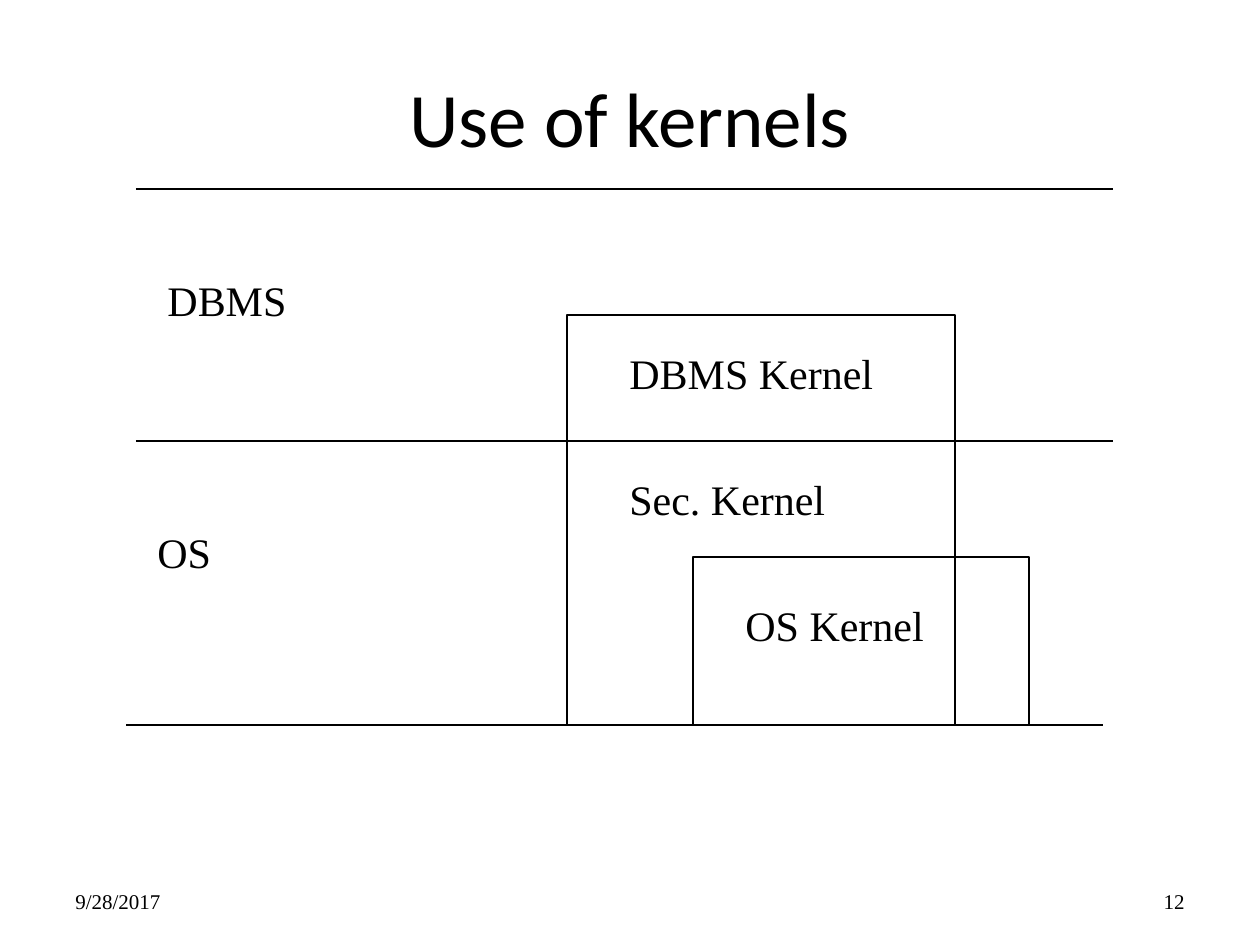
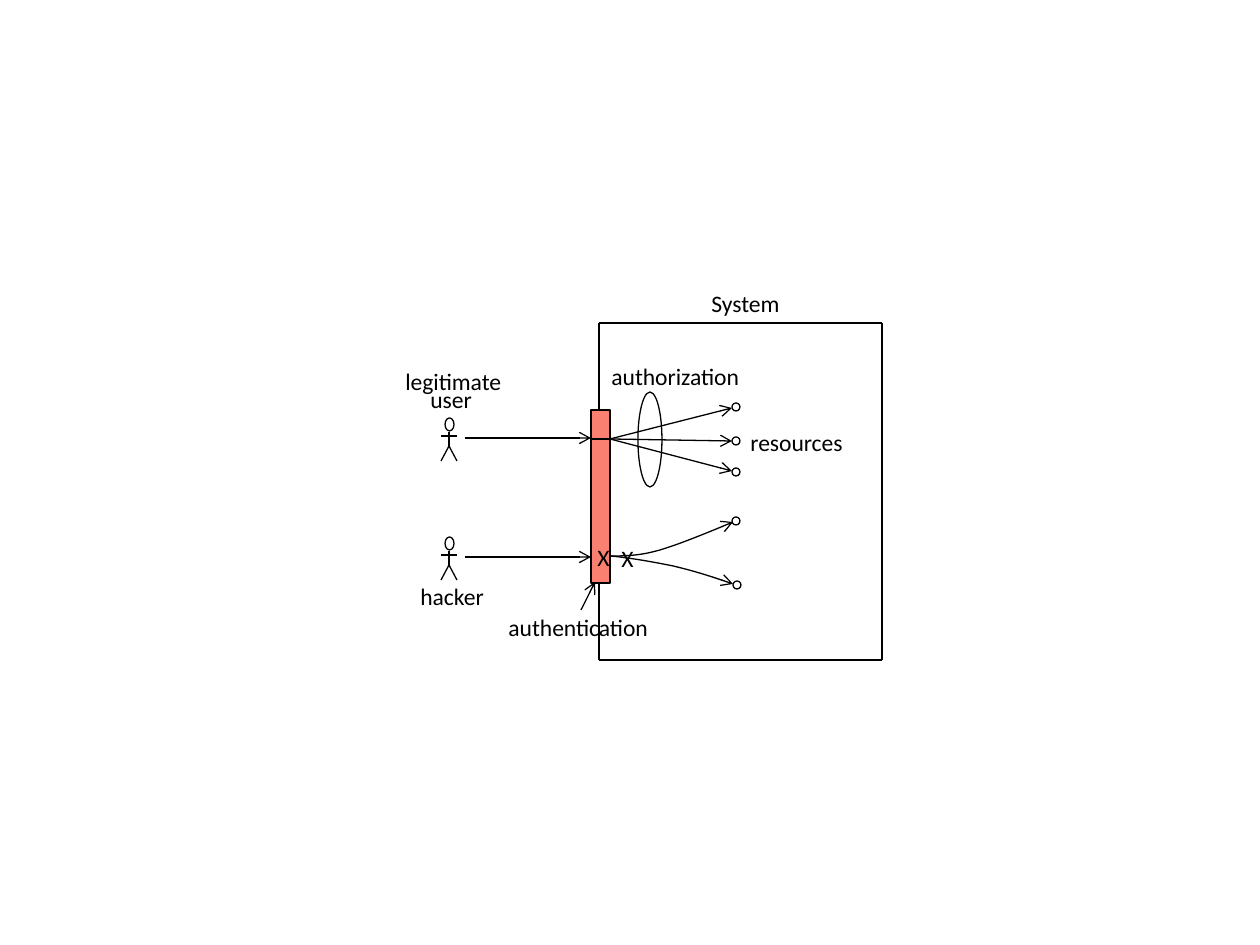
import pptx
import pptx.util
import pptx.dml.color
import pptx.enum.shapes
import pptx.enum.text
import pptx.oxml
import pptx.oxml.ns

PX = 914400 / 126
COLORS = {"ink": "000000", "wall": "FA8072"}
SERIF = "Times New Roman"
SANS = "Calibri"
LABEL_HEIGHT = 42
SHAPE = pptx.enum.shapes.MSO_SHAPE
ALIGN = pptx.enum.text.PP_ALIGN
ANCHOR = pptx.enum.text.MSO_ANCHOR


def emu(px):
    return pptx.util.Emu(round(px * PX))


def rgb(name):
    return pptx.dml.color.RGBColor.from_string(COLORS[name])


def style_line(sp, arrow=False):
    sp.line.color.rgb = rgb("ink")
    sp.line.width = pptx.util.Pt(0.75)
    if arrow:
        tail = pptx.oxml.parse_xml(
            f'<a:tailEnd {pptx.oxml.ns.nsdecls("a")} type="arrow"/>')
        sp.line._get_or_add_ln().append(tail)


def add_line(slide, x1, y1, x2, y2, arrow=False):
    line = slide.shapes.add_connector(
        pptx.enum.shapes.MSO_CONNECTOR.STRAIGHT, emu(x1), emu(y1), emu(x2), emu(y2))
    style_line(line, arrow)
    effects = pptx.oxml.parse_xml(f'<a:effectLst {pptx.oxml.ns.nsdecls("a")}/>')
    line._element.spPr.append(effects)


def add_outline(slide, kind, x, y, w, h, fill=None):
    sp = slide.shapes.add_shape(kind, emu(x), emu(y), emu(w), emu(h))
    if fill:
        sp.fill.solid()
        sp.fill.fore_color.rgb = rgb(fill)
    else:
        sp.fill.background()
    style_line(sp)
    sp.shadow.inherit = False


def bezier(p0, p1, p2, p3, steps=12):
    """Return the points of a cubic curve after its start."""
    points = []
    for i in range(1, steps + 1):
        t = i / steps
        weights = ((1 - t) ** 3, 3 * t * (1 - t) ** 2, 3 * t ** 2 * (1 - t), t ** 3)
        points.append(tuple(
            sum(k * c for k, c in zip(weights, axis)) for axis in zip(p0, p1, p2, p3)))
    return points


def add_curved_arrow(slide, start, *curves):
    """Draw joined cubic curves, each given as two control points and an end."""
    points, here = [], start
    for curve in curves:
        points += bezier(here, *curve)
        here = curve[-1]
    builder = slide.shapes.build_freeform(emu(start[0]), emu(start[1]), scale=1.0)
    builder.add_line_segments([(emu(x), emu(y)) for x, y in points], close=False)
    sp = builder.convert_to_shape()
    sp.fill.background()
    style_line(sp, arrow=True)
    sp.shadow.inherit = False


def format_text(tf, text, font, size, align):
    tf.text = text
    p = tf.paragraphs[0]
    p.alignment = align
    r = p.runs[0]
    r.font.name = font
    r.font.size = pptx.util.Pt(size)
    r.font.color.rgb = rgb("ink")


def add_text(slide, text, x, y, w, h, font, size, align=ALIGN.LEFT,
             anchor=ANCHOR.MIDDLE, wrap=False):
    tf = slide.shapes.add_textbox(emu(x), emu(y), emu(w), emu(h)).text_frame
    tf.word_wrap = wrap
    tf.vertical_anchor = anchor
    format_text(tf, text, font, size, align)


def set_title(slide, text):
    title = slide.shapes.title
    title.left, title.top, title.width, title.height = map(emu, (63, 38, 1134, 158))
    title.text_frame.vertical_anchor = ANCHOR.MIDDLE
    format_text(title.text_frame, text, SANS, 44, ALIGN.CENTER)


def add_footer(slide, date, number):
    for text, x, align in ((date, 63, ALIGN.LEFT), (number, 903, ALIGN.RIGHT)):
        add_text(slide, text, x, 876, 294, 50, SERIF, 12, align, wrap=True)


def add_person(slide, top):
    """Draw a stick figure with an arrow towards the wall."""
    center, hip, foot = 449, top + 28, top + 43
    add_outline(slide, SHAPE.OVAL, center - 4, top, 9, 13)
    add_line(slide, center - 8, top + 18, center + 8, top + 18)
    add_line(slide, center, top + 14, center, hip)
    for side in (-8, 8):
        add_line(slide, center, hip, center + side, foot)
    add_line(slide, 465, top + 20, 591, top + 20, arrow=True)


def build_kernels(prs):
    slide = prs.slides.add_slide(prs.slide_layouts[5])
    set_title(slide, "Use of kernels")
    add_footer(slide, "9/28/2017", "12")
    for x, y in ((136, 189), (136, 441), (126, 725)):
        add_line(slide, x, y, x + 977, y)
    add_outline(slide, SHAPE.RECTANGLE, 567, 315, 388, 410)
    add_outline(slide, SHAPE.RECTANGLE, 693, 557, 336, 168)
    for text, x, y, w in (
            ("DBMS", 155, 268, 145),
            ("OS", 145, 520, 79),
            ("DBMS Kernel", 617, 341, 270),
            ("Sec. Kernel", 617, 467, 222),
            ("OS Kernel", 733, 593, 205)):
        add_text(slide, text, x, y, w, 63, SERIF, 24, anchor=ANCHOR.TOP)


def build_access_control(prs):
    slide = prs.slides.add_slide(prs.slide_layouts[6])
    left, top, right, bottom = 599, 323, 882, 660
    wall_left, wall_top, wall_right, wall_bottom = 591, 410, 610, 583
    add_line(slide, left, top, left, wall_top)
    add_line(slide, left, wall_bottom, left, bottom)
    add_line(slide, left, top, right, top)
    add_line(slide, left, bottom, right, bottom)
    add_line(slide, right, top, right, bottom)

    for person_top in (418, 537):
        add_person(slide, person_top)
    add_outline(slide, SHAPE.OVAL, 638, 392, 24, 95)
    add_outline(slide, SHAPE.RECTANGLE, wall_left, wall_top,
                wall_right - wall_left, wall_bottom - wall_top, "wall")
    add_line(slide, wall_left, 439, wall_right, 439)
    for y in (408, 441, 471):
        add_line(slide, wall_right, 439, 732, y, arrow=True)
    add_line(slide, 581, 610, 595, 582, arrow=True)

    blocked = (wall_right, 556)
    add_curved_arrow(slide, blocked,
                     ((625, 556), (639, 556), (660, 550)),
                     ((680, 544), (707, 533), (733, 522)))
    add_curved_arrow(slide, blocked,
                     ((631, 558), (653, 562), (673, 566)),
                     ((694, 571), (713, 577), (733, 584)))
    for x, y in ((732, 403), (732, 437), (732, 468), (732, 517), (733, 581)):
        add_outline(slide, SHAPE.OVAL, x, y, 8, 8)

    for text, x, y, w in (
            ("System", 699, 282, 95),
            ("authorization", 599, 355, 155),
            ("resources", 738, 421, 120),
            ("legitimate", 393, 360, 123),
            ("user", 418, 378, 68),
            ("hacker", 408, 575, 89),
            ("authentication", 496, 606, 168),
            ("X", 585, 536, 38),
            ("X", 609, 537, 38)):
        add_text(slide, text, x, y, w, LABEL_HEIGHT, SANS, 13.5)


def main():
    prs = pptx.Presentation()
    prs.slide_width = emu(1260)
    prs.slide_height = emu(945)
    build_kernels(prs)
    build_access_control(prs)
    prs.save("out.pptx")


if __name__ == "__main__":
    main()
